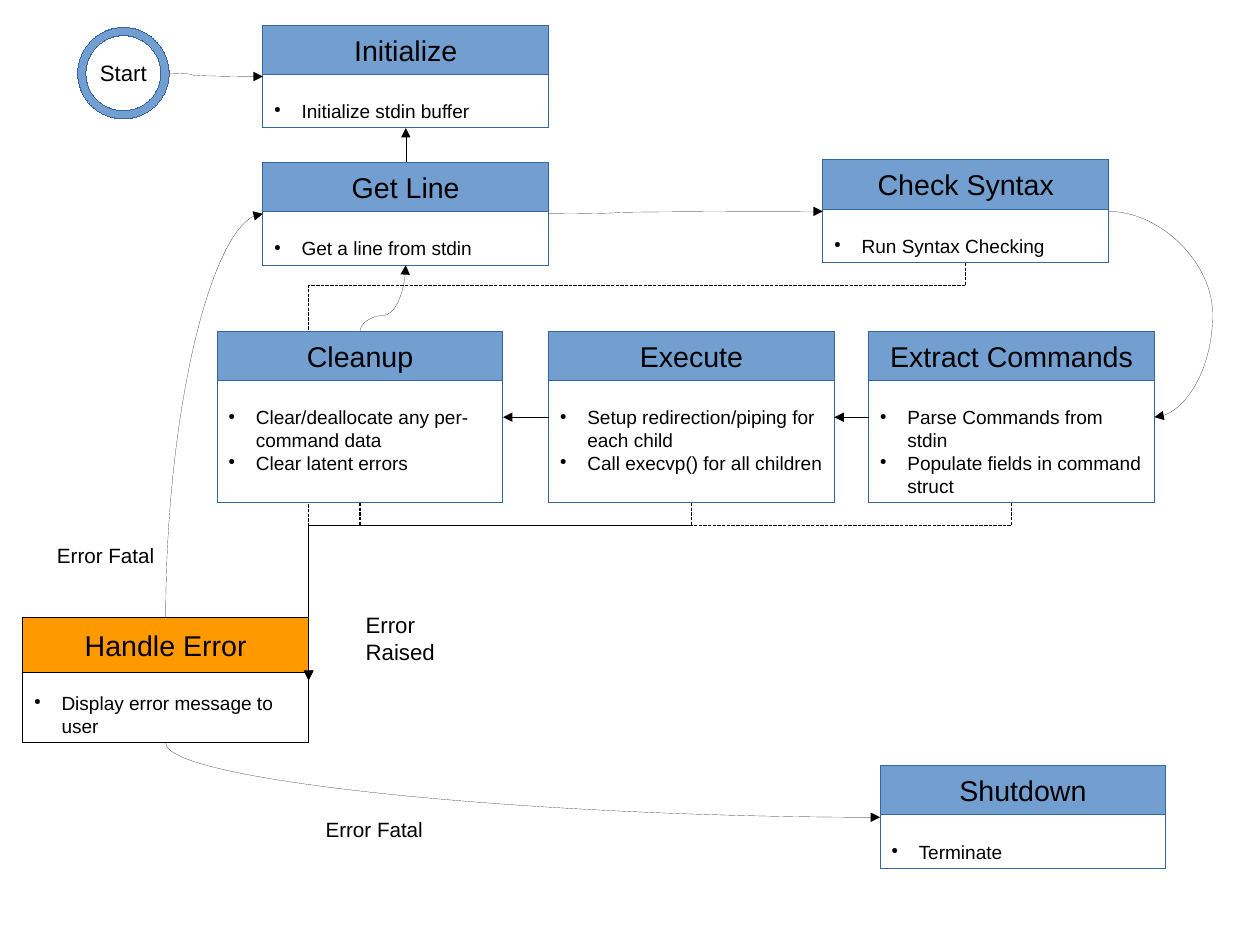
from lxml.etree import SubElement
from pptx import Presentation
from pptx.dml.color import RGBColor
from pptx.enum.dml import MSO_LINE
from pptx.enum.shapes import MSO_CONNECTOR, MSO_SHAPE
from pptx.enum.text import MSO_ANCHOR, MSO_AUTO_SIZE, PP_ALIGN
from pptx.oxml.ns import qn
from pptx.util import Inches, Pt

COLORS = {"black": "000000", "white": "FFFFFF", "blue": "729FCF",
          "edge": "3465A4", "orange": "FF9900"}
CM_PER_INCH = 2.54
HEADER_H = 0.43
BULLET_INDENT = 0.24

STATES = {
    "Initialize": ((2.3, 0.22, 2.5, 0.9), ["Initialize stdin buffer"]),
    "Get Line": ((2.3, 1.42, 2.5, 0.9), ["Get a line from stdin"]),
    "Check Syntax": ((7.2, 1.4, 2.5, 0.9), ["Run Syntax Checking"]),
    "Handle Error": ((0.2, 5.4, 2.5, 1.1), ["Display error message to user"]),
    "Shutdown": ((7.7, 6.7, 2.5, 0.9), ["Terminate"]),
    "Extract Commands": ((7.6, 2.9, 2.5, 1.5), ["Parse Commands from stdin",
                                                "Populate fields in command struct"]),
    "Execute": ((4.8, 2.9, 2.5, 1.5), ["Setup redirection/piping for each child",
                                       "Call execvp() for all children"]),
    "Cleanup": ((1.9, 2.9, 2.5, 1.5), ["Clear/deallocate any per-command data",
                                       "Clear latent errors"]),
}
START_BOX = (0.68, 0.24, 0.8, 0.8)
BOXES = {name: box for name, (box, _) in STATES.items()} | {"Start": START_BOX}

STRAIGHT_STEPS = [
    ("Get Line", "top", "Initialize", "bottom"),
    ("Extract Commands", "left", "Execute", "right"),
    ("Execute", "left", "Cleanup", "right"),
]
CURVED_STEPS = [
    ("Start", "right", "Initialize", "left", 0.2),
    ("Get Line", "right", "Check Syntax", "left", 0.6),
    ("Check Syntax", "right", "Extract Commands", "right", 0.91),
    ("Cleanup", "top", "Get Line", "bottom", 0.14),
    ("Handle Error", "top", "Get Line", "left", None),
    ("Handle Error", "bottom", "Shutdown", "left", None),
]
LABELS = [
    ("Error Fatal", (2.75, 7.1, 1.05, 0.3), 13),
    ("Error Fatal", (0.4, 4.7, 1.05, 0.3), 13),
    ("Error Raised", (3.1, 5.3, 1.29, 0.32), 14),
]


def color(name):
    return RGBColor.from_string(COLORS[name])


def add_run(p, text, size):
    r = p.add_run()
    r.text = text
    r.font.name = "Arial"
    r.font.size = Pt(size)
    r.font.color.rgb = color("black")


def set_line(line, name, width=0):
    line.color.rgb = color(name)
    ln = line._get_or_add_ln()
    ln.set("w", str(Pt(width)))
    return ln


def shape(shapes, kind, box, fill, edge):
    sp = shapes.add_shape(kind, *map(Inches, box))
    sp.shadow.inherit = False
    sp.fill.solid()
    sp.fill.fore_color.rgb = color(fill)
    set_line(sp.line, edge)
    return sp


def centered_text(sp, text, size):
    tf = sp.text_frame
    tf.word_wrap = False
    tf.vertical_anchor = MSO_ANCHOR.MIDDLE
    p = tf.paragraphs[0]
    p.alignment = PP_ALIGN.CENTER
    add_run(p, text, size)


def bullet(p):
    pPr = p._p.get_or_add_pPr()
    pPr.set("marL", str(Inches(BULLET_INDENT)))
    pPr.set("indent", str(-Inches(BULLET_INDENT)))
    SubElement(pPr, qn("a:buSzPct")).set("val", "45000")
    SubElement(pPr, qn("a:buChar")).set("char", "●")


def state_card(s, box, title, items, fill="blue", edge="edge", header_h=HEADER_H):
    x, y, w, h = box
    group = s.shapes.add_group_shape()
    body = shape(group.shapes, MSO_SHAPE.RECTANGLE, box, "white", edge)
    tf = body.text_frame
    tf.word_wrap = True
    tf.vertical_anchor = MSO_ANCHOR.TOP
    tf.margin_top = Inches(0.65)
    for i, item in enumerate(items):
        p = tf.add_paragraph() if i else tf.paragraphs[0]
        p.alignment = PP_ALIGN.LEFT
        bullet(p)
        add_run(p, item, 12)
    header = shape(group.shapes, MSO_SHAPE.RECTANGLE, (x, y, w, header_h), fill, edge)
    centered_text(header, title, 18)


def start_ring(s, box):
    ring = shape(s.shapes, MSO_SHAPE.DONUT, box, "blue", "edge")
    ring.adjustments[0] = 0.09
    centered_text(ring, "Start", 14)


def label(s, box, text, size):
    tf = s.shapes.add_textbox(*map(Inches, box)).text_frame
    tf.word_wrap = False
    tf.auto_size = MSO_AUTO_SIZE.SHAPE_TO_FIT_TEXT
    add_run(tf.paragraphs[0], text, size)


def anchor(name, side):
    x, y, w, h = BOXES[name]
    return {"left": (x, y + h / 2), "right": (x + w, y + h / 2),
            "top": (x + w / 2, y), "bottom": (x + w / 2, y + h)}[side]


def arrow(s, kind, begin, end, width=0):
    c = s.shapes.add_connector(kind, *map(Inches, begin + end))
    ln = set_line(c.line, "black", width)
    SubElement(ln, qn("a:tailEnd")).set("type", "triangle")
    SubElement(c._element.spPr, qn("a:effectLst"))
    return c


def routed_arrow(s, kind, source, side, target, target_side, bend, width=0):
    (x1, y1), (x2, y2) = anchor(source, side), anchor(target, target_side)
    cx, cy = (x1 + x2) / 2, (y1 + y2) / 2
    length, rise, turn = abs(x2 - x1), y2 - y1, 0
    if side in ("top", "bottom"):
        down = y2 > y1
        length, turn = abs(y2 - y1), 90 if down else 270
        rise = x1 - x2 if down else x2 - x1
    c = arrow(s, kind, (cx - length / 2, cy - rise / 2),
              (cx + length / 2, cy + rise / 2), width)
    spPr = c._element.spPr
    if turn:
        spPr.find(qn("a:xfrm")).set("rot", str(turn * 60000))
    geom = spPr.find(qn("a:prstGeom"))
    if bend is None:
        geom.set("prst", "curvedConnector2")
    else:
        guide = SubElement(geom.find(qn("a:avLst")), qn("a:gd"))
        guide.set("name", "adj1")
        guide.set("fmla", f"val {round(bend / length * 100000)}")
    return c


def error_arrow(s, source):
    c = routed_arrow(s, MSO_CONNECTOR.ELBOW, source, "bottom",
                     "Handle Error", "right", 0.2, 0.75)
    c.line.dash_style = MSO_LINE.SQUARE_DOT


def state_diagram(s):
    error_arrow(s, "Check Syntax")
    start_ring(s, START_BOX)
    for name, (box, items) in STATES.items():
        if name == "Handle Error":
            state_card(s, box, name, items, "orange", "black", 0.48)
        else:
            state_card(s, box, name, items)
    for source, side, target, target_side in STRAIGHT_STEPS:
        arrow(s, MSO_CONNECTOR.STRAIGHT, anchor(source, side), anchor(target, target_side))
    for step in CURVED_STEPS:
        routed_arrow(s, MSO_CONNECTOR.CURVE, *step)
    for source in ("Extract Commands", "Execute", "Cleanup"):
        error_arrow(s, source)
    for text, box, size in LABELS:
        label(s, box, text, size)


def main():
    prs = Presentation()
    prs.slide_width = Inches(28 / CM_PER_INCH)
    prs.slide_height = Inches(21 / CM_PER_INCH)
    s = prs.slides.add_slide(prs.slide_layouts[6])
    state_diagram(s)
    prs.save("out.pptx")


if __name__ == "__main__":
    main()
